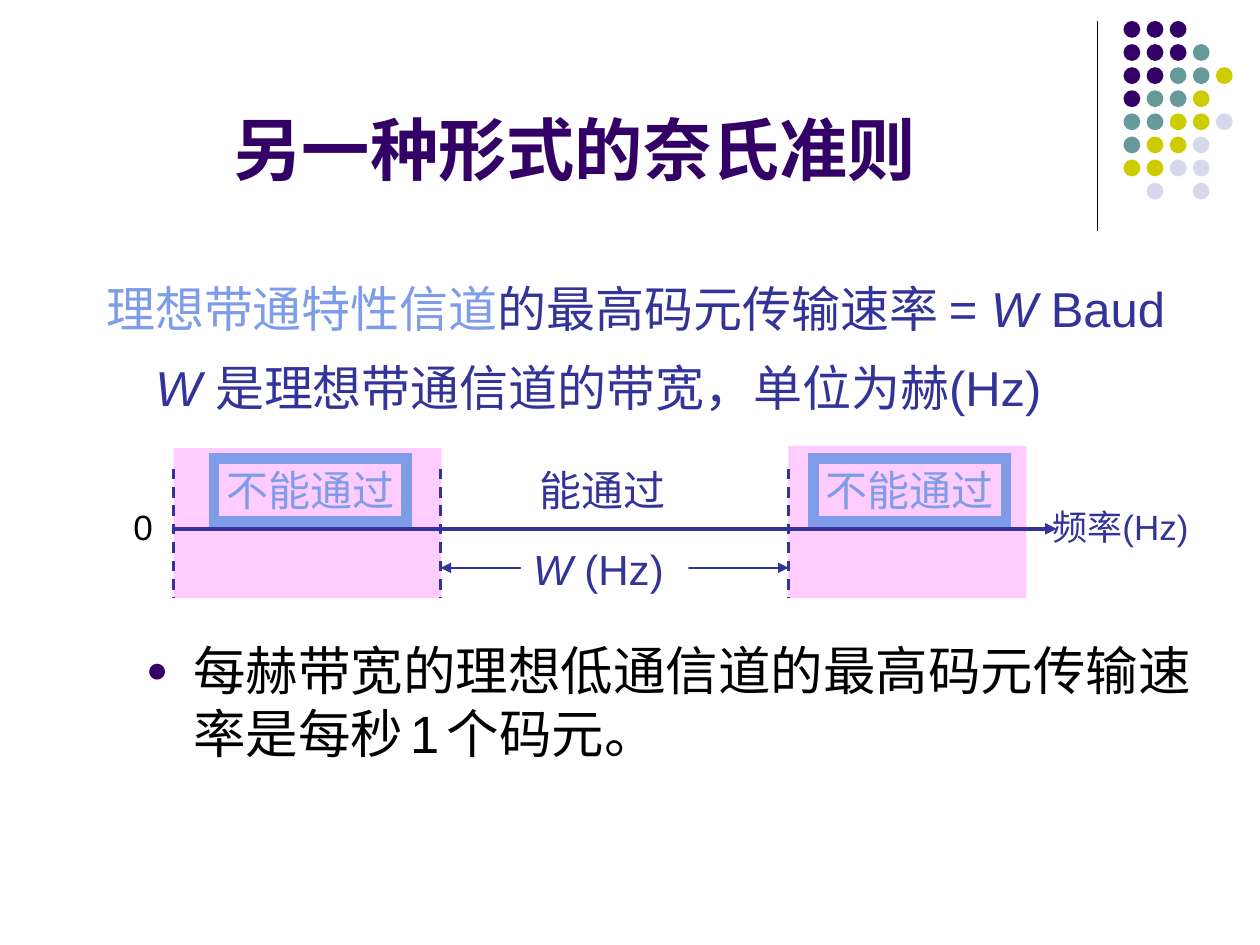
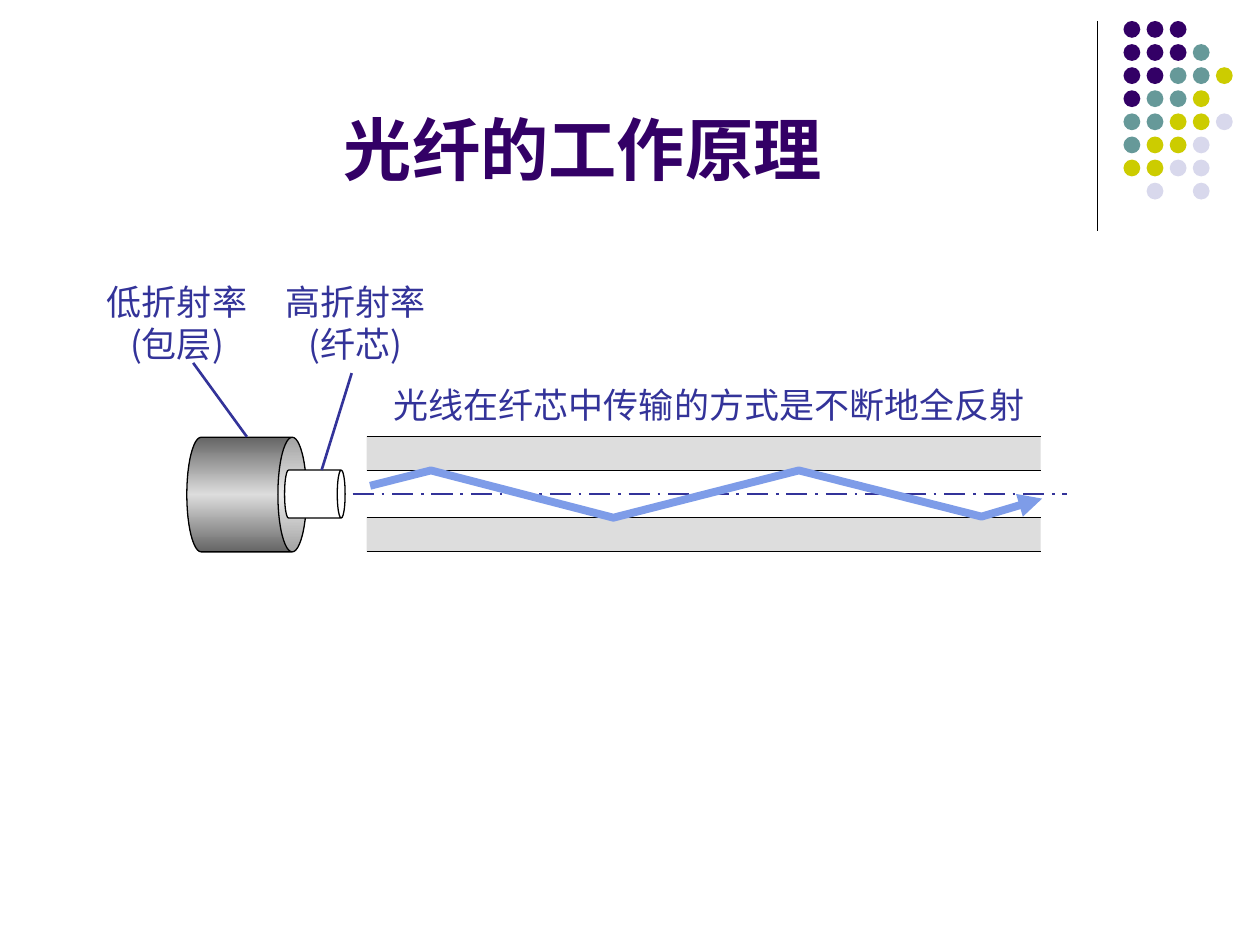
from copy import deepcopy

from lxml import etree
from pptx import Presentation
from pptx.dml import color as colors
from pptx.enum import dml, shapes, text
from pptx.oxml import ns
from pptx.util import Pt

PURPLE, TEAL, LIME, LILAC = "330066", "669999", "CCCC00", "D8D8EC"
NAVY, SKY, PINK = "333399", "7E9CE8", "FFCCFF"
BLACK, WHITE, GREY, DARK = "000000", "FFFFFF", "DDDDDD", "656565"
LATIN, PLAIN, HAN = "Arial", "Roboto", "Noto Sans CJK SC"

DOT_ROWS = ("PPP", "PPPT", "PPTTY", "PTTY", "TTYYL", "TYYL", "YYLL", " L L")
DOT_COLORS = {"P": PURPLE, "T": TEAL, "Y": LIME, "L": LILAC}


def rgb(value):
    return colors.RGBColor.from_string(value)


def add_child(parent, tag, **attributes):
    return etree.SubElement(parent, ns.qn(tag), attributes)


def format_run(span, size, color, font=LATIN, bold=False, italic=False):
    span.font.size = Pt(size)
    span.font.bold = bold
    span.font.italic = italic
    span.font.color.rgb = rgb(color)
    span.font.name = font
    add_child(span.font._element, "a:ea", typeface=HAN)


def write_spans(para, spans, **style):
    for content, changes in spans:
        span = para.add_run()
        span.text = content
        format_run(span, **{**style, **changes})


def paint(shape, fill=None, line=None, weight=0.75):
    shape.shadow.inherit = False
    if fill:
        shape.fill.solid()
        shape.fill.fore_color.rgb = rgb(fill)
    else:
        shape.fill.background()
    if line:
        shape.line.color.rgb = rgb(line)
        shape.line.width = Pt(weight)
    else:
        shape.line.fill.background()


def add_block(page, kind, left, top, width, height, **look):
    block = page.shapes.add_shape(kind, Pt(left), Pt(top), Pt(width), Pt(height))
    paint(block, **look)
    return block


def add_arrowheads(shape, *ends):
    for end in ends:
        add_child(shape.line._get_or_add_ln(), f"a:{end}End", type="triangle")


def add_line(page, x1, y1, x2, y2, color=NAVY, weight=1.5, dash=None, ends=()):
    line = page.shapes.add_connector(
        shapes.MSO_CONNECTOR.STRAIGHT, Pt(x1), Pt(y1), Pt(x2), Pt(y2))
    line.line.color.rgb = rgb(color)
    line.line.width = Pt(weight)
    if dash:
        line.line.dash_style = dash
    add_arrowheads(line, *ends)
    add_child(line._element.spPr, "a:effectLst")


def add_label(page, left, top, width, height, *lines, align=text.PP_ALIGN.LEFT,
              fill=None, **style):
    box = page.shapes.add_textbox(Pt(left), Pt(top), Pt(width), Pt(height))
    paint(box, fill)
    frame = box.text_frame
    frame.word_wrap = False
    frame.auto_size = text.MSO_AUTO_SIZE.SHAPE_TO_FIT_TEXT
    for index, spans in enumerate(lines):
        para = frame.add_paragraph() if index else frame.paragraphs[0]
        para.alignment = align
        write_spans(para, [(spans, {})] if isinstance(spans, str) else spans, **style)
    return box


def add_framed_label(page, left, top, width, height, content, color, **style):
    box = add_label(page, left, top, width, height, content,
                    align=text.PP_ALIGN.CENTER, color=color, **style)
    paint(box, line=color, weight=6)
    add_child(box.line._get_or_add_ln(), "a:miter", lim="800000")
    frame = box.text_frame
    frame.auto_size = text.MSO_AUTO_SIZE.NONE
    frame.margin_left = frame.margin_right = 0


def add_corner_dots(page, left, top, pitch=13.2, diameter=9.6):
    add_line(page, left - 15, top, left - 15, top + 120, BLACK, 0.75)
    for row, marks in enumerate(DOT_ROWS):
        for column, mark in enumerate(marks):
            if mark in DOT_COLORS:
                add_block(page, shapes.MSO_SHAPE.OVAL, left + column * pitch,
                          top + row * pitch, diameter, diameter, fill=DOT_COLORS[mark])


def add_page(deck, heading):
    page = deck.slides.add_slide(deck.slide_layouts[5])
    add_corner_dots(page, 642, 12)
    title = page.shapes.title
    title.left, title.top, title.width, title.height = Pt(36), Pt(9.4), Pt(594), Pt(102.2)
    frame = title.text_frame
    frame.text = heading
    frame.auto_size = text.MSO_AUTO_SIZE.NONE
    frame.vertical_anchor = text.MSO_ANCHOR.BOTTOM
    frame.paragraphs[0].alignment = text.PP_ALIGN.CENTER
    format_run(frame.paragraphs[0].runs[0], 39, PURPLE, bold=True)
    return page


def add_band_diagram(page, left, top):
    pass_start, pass_end, bottom = 152.6, 351.4, 87
    axis_y, measure_y = top + 47.4, top + 69.7
    rectangle = shapes.MSO_SHAPE.RECTANGLE
    add_block(page, rectangle, left, top + 1.3, 153, bottom - 1.3, fill=PINK)
    add_block(page, rectangle, left + pass_end, top, 136, bottom, fill=PINK)
    add_line(page, left, axis_y, left + 504.7, axis_y, weight=2.25, ends=["tail"])
    for guide in (0, pass_start, pass_end):
        add_line(page, left + guide, top + 13, left + guide, top + bottom,
                 dash=dml.MSO_LINE.DASH)
    add_line(page, left + pass_start, measure_y, left + pass_end, measure_y,
             ends=["head", "tail"])
    for offset in (23, 365.7):
        add_framed_label(page, left + offset, top + 7.3, 110, 36, "不能通过",
                         SKY, size=24, font=PLAIN)
    add_label(page, left + 202.3, top + 7.3, 86.4, 36, "能通过",
              size=24, color=NAVY, font=PLAIN)
    add_label(page, left + 198.4, top + 52.4, 95.8, 36,
              [("W ", {"italic": True}), ("(Hz)", {})],
              fill=WHITE, size=24, color=NAVY)
    add_label(page, left - 30, top + 30.3, 25, 31.7, "0", size=20, color=BLACK)
    add_label(page, left + 495, top + 30.8, 97.2, 31.7, "频率(Hz)",
              size=20, color=NAVY)


def add_bullet_text(page, left, top, width, height):
    box = page.shapes.add_textbox(Pt(left), Pt(top), Pt(width), Pt(height))
    box.text_frame.word_wrap = True
    para = box.text_frame.paragraphs[0]
    para.space_before = Pt(7.5)
    write_spans(para, [("每赫带宽的理想低通信道的最高码元传输速率是每秒", {}),
                       (" ", {"size": 17}), ("1", {}),
                       (" ", {"size": 15, "bold": True}), ("个码元。", {})],
                size=30, color=BLACK)
    settings = para._p.get_or_add_pPr()
    settings.set("marL", str(Pt(27)))
    settings.set("indent", str(-Pt(27)))
    add_child(add_child(settings, "a:buClr"), "a:srgbClr", val=PURPLE)
    add_child(settings, "a:buSzPct", val="70000")
    add_child(settings, "a:buFont", typeface=LATIN)
    add_child(settings, "a:buChar", char="●")


def build_nyquist_page(deck):
    page = add_page(deck, "另一种形式的奈氏准则 ")
    add_label(page, 53.6, 155.5, 641.5, 41,
              [("理想带通特性信道", {"color": SKY, "font": PLAIN}),
               ("的最高码元传输速率 = ", {}), ("W", {"italic": True}), (" Baud", {})],
              size=28, color=NAVY)
    add_label(page, 81.7, 200.9, 541.4, 41,
              [("W ", {"italic": True}), ("是理想带通信道的带宽，单位为赫(Hz)", {})],
              size=28, color=NAVY)
    add_band_diagram(page, 99.2, 254.8)
    add_bullet_text(page, 76.5, 361, 612, 107.3)


def add_cable_end(page, left, top):
    cladding = add_block(page, shapes.MSO_SHAPE.CAN, left, top, 65.5, 68.4,
                         fill=GREY, line=BLACK)
    cladding.adjustments[0] = 0.25
    cladding.fill.gradient()
    cladding.fill.gradient_angle = 0
    first, last = cladding.fill.gradient_stops
    first.color.rgb = last.color.rgb = rgb(DARK)
    first.position, last.position = 0, 1
    middle = deepcopy(first._gs)
    first._gs.addnext(middle)
    stop = cladding.fill.gradient_stops[1]
    stop.color.rgb = rgb(GREY)
    stop.position = 0.5
    core = add_block(page, shapes.MSO_SHAPE.CAN, left + 58, top + 16.6, 27.4, 34.6,
                     fill=WHITE, line=BLACK)
    core.adjustments[0] = 0.164
    cladding.rotation = core.rotation = 90


def add_fiber_section(page, left, top, width):
    cladding, core = 19.3, 26.9
    y = top
    for height, fill in ((cladding, GREY), (core, WHITE), (cladding, GREY)):
        add_block(page, shapes.MSO_SHAPE.RECTANGLE, left, y, width, height, fill=fill)
        y += height
    for edge in (0, cladding, cladding + core, 2 * cladding + core):
        add_line(page, left, top + edge, left + width, top + edge, BLACK, 0.75)
    add_line(page, left - 8, top + 32.6, left + 400, top + 32.6,
             dash=dml.MSO_LINE.LONG_DASH_DOT)
    ray = [(2, 28), (36.7, 19.2), (141, 46.2), (247, 19.2), (351.4, 45.6), (386, 35.3)]
    points = [(Pt(left + x), Pt(top + y)) for x, y in ray]
    builder = page.shapes.build_freeform(*points[0])
    builder.add_line_segments(points[1:], close=False)
    zigzag = builder.convert_to_shape()
    paint(zigzag, line=SKY, weight=4.5)
    add_arrowheads(zigzag, "tail")


def build_fiber_page(deck):
    page = add_page(deck, "光纤的工作原理")
    add_cable_end(page, 108.2, 248.4)
    add_fiber_section(page, 209.5, 249.6, 385.2)
    label = {"size": 20, "color": NAVY, "font": HAN}
    for left, name, part in ((54, "低折射率", "(包层)"), (156.2, "高折射率", "(纤芯)")):
        add_label(page, left, 157, 94.3, 55.4, name, part,
                  align=text.PP_ALIGN.CENTER, **label)
    add_line(page, 110.4, 207.4, 141.1, 249.6)
    add_line(page, 201, 213.2, 183.8, 268.6)
    add_label(page, 217.8, 215.5, 375.1, 31.7,
              "光线在纤芯中传输的方式是不断地全反射", **label)


def main():
    deck = Presentation()
    deck.slide_width, deck.slide_height = Pt(720), Pt(540)
    build_nyquist_page(deck)
    build_fiber_page(deck)
    deck.save("out.pptx")


if __name__ == "__main__":
    main()
